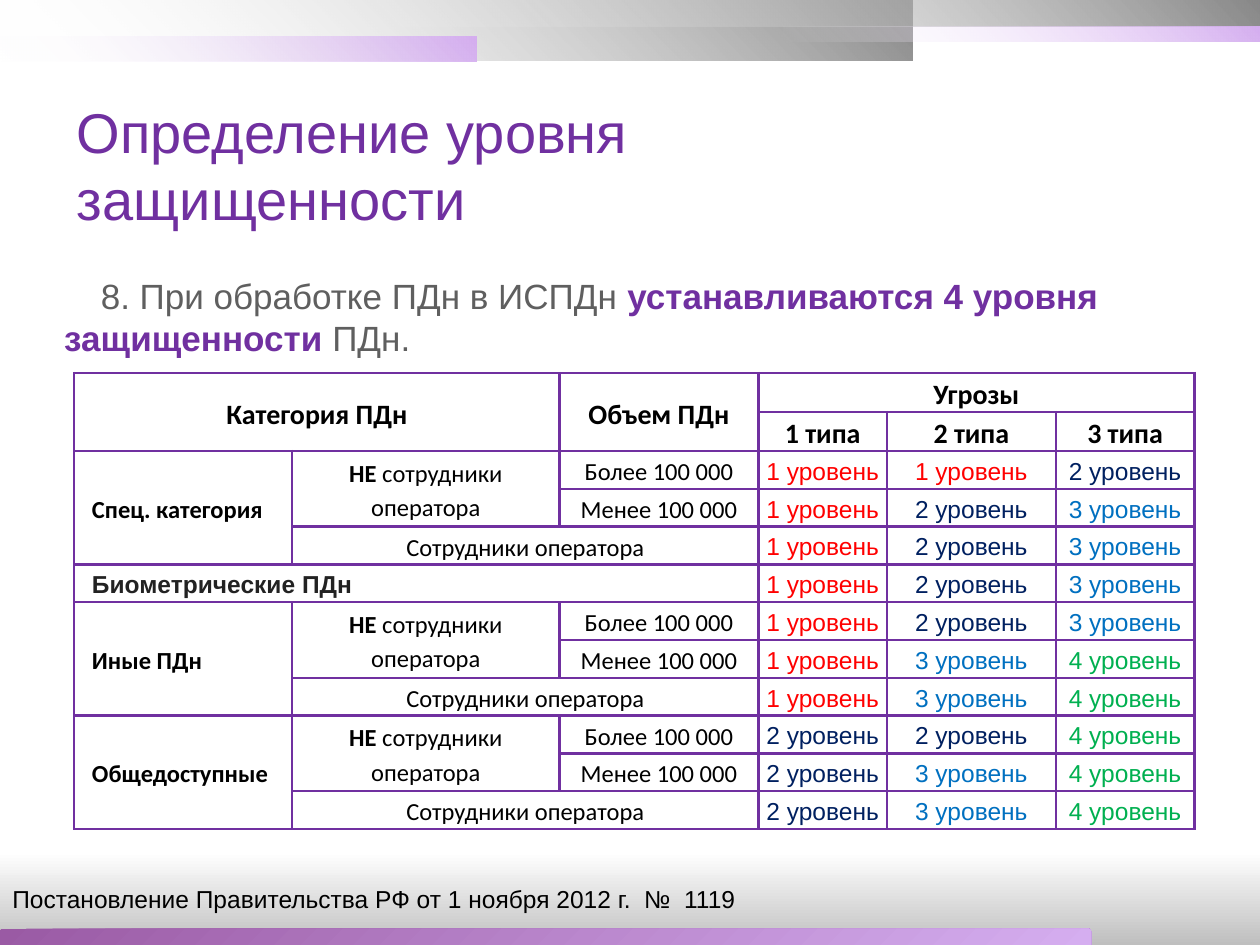
from typing import NamedTuple, Optional

from lxml.etree import SubElement
from pptx import Presentation
from pptx.dml.color import RGBColor
from pptx.enum.shapes import MSO_SHAPE
from pptx.enum.text import MSO_ANCHOR, PP_ALIGN
from pptx.oxml.ns import qn
from pptx.util import Inches, Pt

PURPLE, GRAY, BLACK = "7030A0", "5F5F5F", "000000"
LEVEL_COLORS = {1: "FF0000", 2: "002060", 3: "0070C0", 4: "00B050"}


class Stop(NamedTuple):
    pos: int
    color: str
    alpha: int = 100


class Band(NamedTuple):
    box: tuple
    stops: tuple
    angle: Optional[int] = None
    shape: MSO_SHAPE = MSO_SHAPE.RECTANGLE
    rotation: int = 0


class Run(NamedTuple):
    text: str
    size: float = 14
    font: str = "Arial"
    color: str = BLACK
    bold: bool = False


class Cell(NamedTuple):
    row: int
    col: int
    runs: tuple
    span: tuple = (1, 1)
    align: PP_ALIGN = PP_ALIGN.CENTER
    spacing: object = 1.15
    anchor: MSO_ANCHOR = MSO_ANCHOR.MIDDLE


def rgb(value: str) -> RGBColor:
    return RGBColor.from_string(value)


def fade(color: str) -> tuple:
    return Stop(0, color), Stop(100, "FFFFFF", 0)


def apply(target, values: dict) -> None:
    for name, value in values.items():
        setattr(target, name, value)


def add_runs(p, runs: tuple) -> None:
    for run in runs:
        r = p.add_run()
        r.text = run.text
        apply(r.font, {"size": Pt(run.size), "name": run.font, "bold": run.bold})
        r.font.color.rgb = rgb(run.color)


def add_band(s, band: Band) -> None:
    sp = s.shapes.add_shape(band.shape, *map(Inches, band.box))
    sp.shadow.inherit = False
    sp.rotation = band.rotation
    sp.line.fill.background()
    sp.fill.gradient()
    grad = sp._element.spPr.find(qn("a:gradFill"))
    for child in list(grad):
        grad.remove(child)
    grad.set("rotWithShape", "0" if band.rotation else "1")
    stops = SubElement(grad, qn("a:gsLst"))
    for stop in band.stops:
        gs = SubElement(stops, qn("a:gs"), pos=str(stop.pos * 1000))
        color = SubElement(gs, qn("a:srgbClr"), val=stop.color)
        if stop.alpha < 100:
            SubElement(color, qn("a:alpha"), val=str(stop.alpha * 1000))
    if band.angle is None:
        focus = SubElement(grad, qn("a:path"), path="circle")
        SubElement(focus, qn("a:fillToRect"), l="100000", b="100000")
    else:
        SubElement(grad, qn("a:lin"), ang=str(band.angle * 60000), scaled="0")


def add_text(s, box: tuple, runs: tuple, frame: dict, para: dict):
    tf = s.shapes.add_textbox(*map(Inches, box)).text_frame
    apply(tf, frame)
    p = tf.paragraphs[0]
    apply(p, para)
    add_runs(p, runs)
    return p


def add_borders(cell) -> None:
    tc_pr = cell._tc.get_or_add_tcPr()
    for i, side in enumerate(("lnL", "lnR", "lnT", "lnB")):
        ln = SubElement(tc_pr, qn(f"a:{side}"), w=str(Pt(1.5)))
        fill = SubElement(ln, qn("a:solidFill"))
        SubElement(fill, qn("a:srgbClr"), val=PURPLE)
        tc_pr.insert(i, ln)


def fill_cell(table, item: Cell) -> None:
    cell = table.cell(item.row, item.col)
    if item.span != (1, 1):
        cell.merge(table.cell(item.row + item.span[0] - 1, item.col + item.span[1] - 1))
    cell.vertical_anchor = item.anchor
    p = cell.text_frame.paragraphs[0]
    apply(p, {"alignment": item.align, "line_spacing": item.spacing})
    if item.align == PP_ALIGN.LEFT:
        p._p.get_or_add_pPr().set("marL", str(Inches(0.1)))
    add_runs(p, item.runs)


def label(text: str, size: float = 14, bold: bool = False) -> Run:
    return Run(text, size, "Calibri", BLACK, bold)


def table_cells() -> list:
    def head(row, col, text, span=(1, 1), anchor=MSO_ANCHOR.TOP):
        return Cell(row, col, (label(text, 16, True),), span, anchor=anchor)

    cells = [
        head(0, 0, "Категория ПДн", (2, 2), MSO_ANCHOR.MIDDLE),
        head(0, 2, "Объем ПДн", (2, 1), MSO_ANCHOR.MIDDLE),
        head(0, 3, "Угрозы", (1, 3)),
        Cell(5, 0, (Run("Биометрические ПДн", color="222222", bold=True),), (1, 3), PP_ALIGN.LEFT),
    ]
    cells += [head(1, 2 + n, f"{n} типа") for n in (1, 2, 3)]
    for row, name in ((2, "Спец. категория"), (6, "Иные ПДн"), (9, "Общедоступные")):
        cells += [
            Cell(row, 0, (label(name, bold=True),), (3, 1), PP_ALIGN.LEFT),
            Cell(row, 1, (label("НЕ", bold=True), label(" сотрудники оператора")), (2, 1)),
            Cell(row, 2, (label("Более 100 000"),)),
            Cell(row + 1, 2, (label("Менее 100 000"),)),
            Cell(row + 2, 1, (label("Сотрудники оператора"),), (1, 2)),
        ]
    levels = ("112", "123", "123", "123", "123", "134", "134", "224", "234", "234")
    for row, line in enumerate(levels, 2):
        for col, level in enumerate(map(int, line), 3):
            run = Run(f"{level} уровень", color=LEVEL_COLORS[level])
            cells.append(Cell(row, col, (run,), spacing=Pt(17.8)))
    return cells


def add_levels_table(s) -> None:
    widths = (1.73, 2.12, 1.58, 1.02, 1.34, 1.1)
    heights = (0.31,) * 2 + (0.3,) * 10
    box = (0.59, 2.96, sum(widths), sum(heights))
    table = s.shapes.add_table(len(heights), len(widths), *map(Inches, box)).table
    apply(table, {"first_row": False, "horz_banding": False})
    for column, width in zip(table.columns, widths):
        column.width = Inches(width)
    for row, height in zip(table.rows, heights):
        row.height = Inches(height)
        for cell in row.cells:
            apply(cell, {"margin_left": Inches(0.04), "margin_right": Inches(0.04),
                         "margin_top": 0, "margin_bottom": 0})
            cell.fill.background()
            add_borders(cell)
    for item in table_cells():
        fill_cell(table, item)


def main() -> None:
    prs = Presentation()
    apply(prs, {"slide_width": Inches(10), "slide_height": Inches(7.5)})
    s = prs.slides.add_slide(prs.slide_layouts[5])
    for band in (
        Band((0, 6.03, 10, 1.47), (Stop(0, "BFBFBF"), Stop(50, "FFFFFF")), 270),
        Band((0, 7.37, 8.66, 0.13), (Stop(0, "9A5AA4"), Stop(100, "D5AEF0")), 45,
             MSO_SHAPE.ROUND_2_SAME_RECTANGLE),
        Band((0, 0, 7.24, 0.48), fade("888888"), rotation=180),
        Band((2.76, 0, 7.24, 0.21), fade("888888")),
        Band((0, 0.29, 3.78, 0.2), fade("D5AEF0"), rotation=180),
        Band((6.22, 0.21, 3.78, 0.12), fade("D5AEF0")),
    ):
        add_band(s, band)

    title = s.shapes.title
    apply(title, dict(zip(("left", "top", "width", "height"), map(Inches, (0.51, 0.52, 6.54, 1.57)))))
    apply(title.text_frame, {"vertical_anchor": MSO_ANCHOR.MIDDLE, "word_wrap": True})
    p = title.text_frame.paragraphs[0]
    p.alignment = PP_ALIGN.LEFT
    add_runs(p, (Run("Определение уровня защищенности", 32, color=PURPLE),))

    p = add_text(s, (0.51, 2.18, 8.99, 4.88), (
        Run("8.\u00a0При обработке ПДн в ИСПДн ", 20, color=GRAY),
        Run("устанавливаются 4 уровня защищенности ", 20, color=PURPLE, bold=True),
        Run("ПДн.", 20, color=GRAY),
    ), {"margin_left": 0, "margin_right": 0, "margin_top": 0, "margin_bottom": 0,
        "word_wrap": True}, {"space_before": Pt(5)})
    p._p.get_or_add_pPr().set("indent", str(Inches(0.29)))

    add_levels_table(s)
    add_text(s, (0, 6.96, 6.03, 0.34),
             (Run("Постановление Правительства РФ от 1 ноября 2012 г.  №  1119"),),
             {"vertical_anchor": MSO_ANCHOR.MIDDLE, "word_wrap": False},
             {"alignment": PP_ALIGN.LEFT})
    prs.save("out.pptx")


if __name__ == "__main__":
    main()
